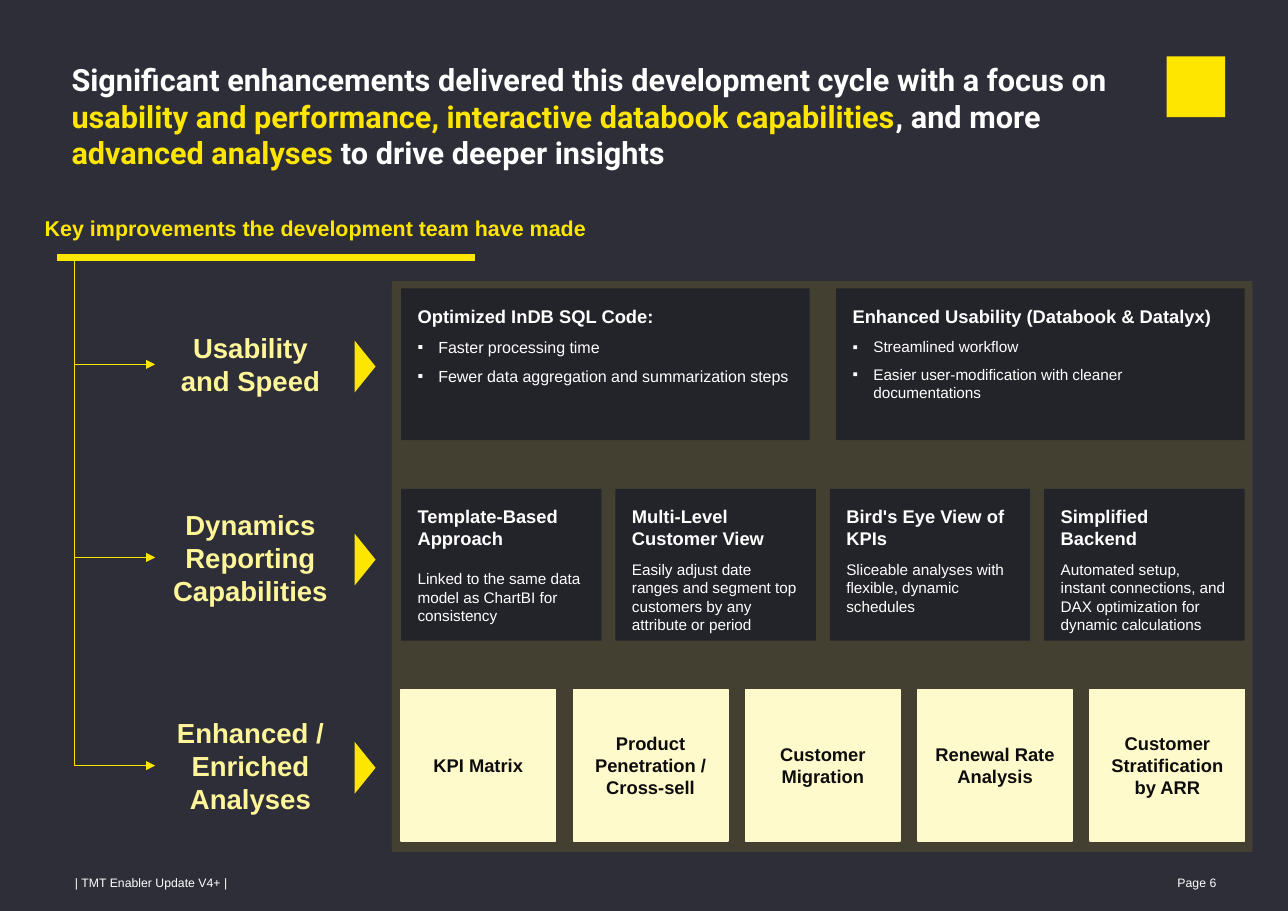
from dataclasses import dataclass
from typing import Any

from lxml.etree import SubElement
from pptx import Presentation
from pptx.dml.color import RGBColor
from pptx.enum.shapes import MSO_CONNECTOR, MSO_SHAPE
from pptx.enum.text import MSO_ANCHOR, PP_ALIGN
from pptx.oxml.ns import qn
from pptx.util import Cm, Pt


@dataclass(frozen=True)
class Theme:
    background: str = "2E2E38"
    card: str = "23232A"
    accent: str = "FFE600"
    label: str = "FFF599"
    cream: str = "FFFACC"
    ink: str = "0D0D0D"
    white: str = "FFFFFF"
    font: str = "Arial"
    title_font: str = "Roboto"
    title: float = 20
    category: float = 18
    section: float = 14
    heading: float = 12
    body: float = 10
    footer: float = 8


@dataclass(frozen=True)
class Box:
    left: float
    top: float
    width: float
    height: float

    def lengths(self) -> tuple:
        return tuple(Cm(v) for v in (self.left, self.top, self.width, self.height))


@dataclass(frozen=True)
class Run:
    text: str
    size: float
    color: str
    bold: bool = False
    font: str = "Arial"


@dataclass(frozen=True)
class Card:
    heading: str
    body: tuple[str, ...] = ()
    gap: float = 7
    size: float = 10
    bulleted: bool = False


@dataclass(frozen=True)
class Category:
    name: str
    middle: float
    card_width: float
    cards: tuple[Card, ...]
    cream: bool = False


THEME = Theme()
INSET = 0.38
CARDS_LEFT, CARDS_SPAN = 9.25, 19.45
CARDS_TOP, ROW_PITCH, CARD_HEIGHT = 6.65, 4.62, 3.5
LABEL_LEFT, LABEL_WIDTH, LABEL_HEIGHT = 3.58, 4.39, 3.4
TRUNK_LEFT, TRUNK_TOP = 1.72, 5.96
MARKER_CENTRE, MARKER_WIDTH, MARKER_HEIGHT = 8.42, 1.19, 0.48

CATEGORIES = (
    Category("Usability and Speed", 8.4, 9.42, (
        Card("Optimized InDB SQL Code:",
             ("Faster processing time",
              "Fewer data aggregation and summarization steps"), size=10.5, bulleted=True),
        Card("Enhanced Usability (Databook & Datalyx)",
             ("Streamlined workflow",
              "Easier user-modification with cleaner documentations"), bulleted=True),
    )),
    Category("Dynamics Reporting Capabilities", 12.85, 4.62, (
        Card("Template-Based Approach",
             ("Linked to the same data model as ChartBI for consistency",), gap=13),
        Card("Multi-Level Customer View",
             ("Easily adjust date ranges and segment top customers by any attribute or period",)),
        Card("Bird's Eye View of KPIs",
             ("Sliceable analyses with flexible, dynamic schedules",)),
        Card("Simplified Backend",
             ("Automated setup, instant connections, and DAX optimization for dynamic calculations",)),
    )),
    Category("Enhanced / Enriched Analyses", 17.65, 3.56, (
        Card("KPI Matrix"),
        Card("Product Penetration / Cross-sell"),
        Card("Customer Migration"),
        Card("Renewal Rate Analysis"),
        Card("Customer Stratification by ARR"),
    ), cream=True),
)


def apply_format(target: Any, values: dict[str, Any]) -> None:
    for name, value in values.items():
        setattr(target, name, value)


def set_frame(frame: Any, inset: float, anchor: Any) -> None:
    margin = Cm(inset)
    apply_format(frame, {
        "word_wrap": True, "vertical_anchor": anchor,
        "margin_left": margin, "margin_right": margin,
        "margin_top": margin, "margin_bottom": margin,
    })


def add_runs(paragraph: Any, *runs: Run) -> None:
    for part in runs:
        run = paragraph.add_run()
        run.text = part.text
        apply_format(run.font, {"name": part.font, "size": Pt(part.size), "bold": part.bold})
        run.font.color.rgb = RGBColor.from_string(part.color)


def add_text(slide: Any, box: Box, *runs: Run, align: Any = PP_ALIGN.LEFT,
             anchor: Any = MSO_ANCHOR.MIDDLE, inset: float = 0) -> None:
    frame = slide.shapes.add_textbox(*box.lengths()).text_frame
    set_frame(frame, inset, anchor)
    frame.paragraphs[0].alignment = align
    add_runs(frame.paragraphs[0], *runs)


def add_block(slide: Any, box: Box, fill: str, kind: Any = MSO_SHAPE.RECTANGLE) -> Any:
    block = slide.shapes.add_shape(kind, *box.lengths())
    block.shadow.inherit = False
    block.fill.solid()
    block.fill.fore_color.rgb = RGBColor.from_string(fill)
    block.line.fill.background()
    return block


def add_bullet(paragraph: Any) -> None:
    properties = paragraph._p.get_or_add_pPr()
    properties.set("marL", str(Cm(0.48)))
    properties.set("indent", str(-Cm(0.48)))
    SubElement(properties, qn("a:buFont"), typeface="Arial")
    SubElement(properties, qn("a:buChar"), char="▪")


def add_card(slide: Any, box: Box, card: Card, cream: bool) -> None:
    block = add_block(slide, box, THEME.cream if cream else THEME.card)
    if cream:
        block.line.color.rgb = RGBColor.from_string(THEME.cream)
        block.line.width = Pt(1)
    frame = block.text_frame
    set_frame(frame, INSET, MSO_ANCHOR.MIDDLE if cream else MSO_ANCHOR.TOP)
    heading = frame.paragraphs[0]
    heading.alignment = PP_ALIGN.CENTER if cream else PP_ALIGN.LEFT
    add_runs(heading, Run(card.heading, THEME.heading, THEME.ink if cream else THEME.white, True))
    if card.body:
        heading.space_after = Pt(card.gap)
    for sentence in card.body:
        paragraph = frame.add_paragraph()
        apply_format(paragraph, {"alignment": PP_ALIGN.LEFT, "space_after": Pt(6)})
        if card.bulleted:
            add_bullet(paragraph)
        add_runs(paragraph, Run(sentence, card.size, THEME.white))


def add_line(slide: Any, kind: Any, ends: tuple[float, ...], width: float) -> Any:
    line = slide.shapes.add_connector(kind, *(Cm(v) for v in ends))
    line.line.color.rgb = RGBColor.from_string(THEME.accent)
    line.line.width = Pt(width)
    SubElement(line._element.spPr, qn("a:effectLst"))
    return line


def add_branch(slide: Any, middle: float) -> None:
    across, down = LABEL_LEFT - TRUNK_LEFT, middle - TRUNK_TOP
    x, y = TRUNK_LEFT + across / 2, TRUNK_TOP + down / 2
    branch = add_line(slide, MSO_CONNECTOR.ELBOW,
                      (x + down / 2, y - across / 2, x - down / 2, y + across / 2), 0.5)
    properties = branch._element.spPr
    properties.find(qn("a:xfrm")).set("rot", "16200000")
    properties.find(qn("a:prstGeom")).set("prst", "bentConnector2")
    SubElement(properties.find(qn("a:ln")), qn("a:tailEnd"), type="triangle")


def add_category(slide: Any, category: Category, row: int) -> None:
    label = Box(LABEL_LEFT, category.middle - LABEL_HEIGHT / 2, LABEL_WIDTH, LABEL_HEIGHT)
    add_text(slide, label, Run(category.name, THEME.category, THEME.label, True),
             align=PP_ALIGN.CENTER, inset=INSET)
    add_branch(slide, category.middle)
    marker = Box(MARKER_CENTRE - MARKER_WIDTH / 2, category.middle + 0.05 - MARKER_HEIGHT / 2,
                 MARKER_WIDTH, MARKER_HEIGHT)
    add_block(slide, marker, THEME.accent, MSO_SHAPE.ISOSCELES_TRIANGLE).rotation = 90
    pitch = (CARDS_SPAN - category.card_width) / (len(category.cards) - 1)
    for column, card in enumerate(category.cards):
        box = Box(CARDS_LEFT + column * pitch, CARDS_TOP + row * ROW_PITCH,
                  category.card_width, CARD_HEIGHT)
        add_card(slide, box, card, category.cream)


def main() -> None:
    deck = Presentation()
    apply_format(deck, {"slide_width": Cm(29.7), "slide_height": Cm(21)})
    slide = deck.slides.add_slide(deck.slide_layouts[6])
    slide.background.fill.solid()
    slide.background.fill.fore_color.rgb = RGBColor.from_string(THEME.background)

    add_block(slide, Box(26.9, 1.3, 1.35, 1.4), THEME.accent)
    panel = add_block(slide, Box(9.04, 6.48, 19.84, 13.16), THEME.accent)
    panel_color = panel._element.spPr.find(qn("a:solidFill")).find(qn("a:srgbClr"))
    SubElement(panel_color, qn("a:alpha"), val="10000")

    title = (
        ("Significant enhancements delivered this development cycle with a focus on ", THEME.white),
        ("usability and performance, interactive databook capabilities", THEME.accent),
        (", and more ", THEME.white),
        ("advanced analyses", THEME.accent),
        (" to drive deeper insights", THEME.white),
    )
    add_text(slide, Box(1.65, 1.4, 24.74, 1.7),
             *(Run(text, THEME.title, color, True, THEME.title_font) for text, color in title),
             anchor=MSO_ANCHOR.TOP)
    add_text(slide, Box(0.28, 4.83, 14, 0.86),
             Run("Key improvements the development team have made", THEME.section, THEME.accent, True),
             align=PP_ALIGN.CENTER)
    add_line(slide, MSO_CONNECTOR.STRAIGHT, (1.32, 5.94, 10.95, 5.94), 4.5)
    for row, category in enumerate(CATEGORIES):
        add_category(slide, category, row)

    add_text(slide, Box(1.73, 20.19, 21.2, 0.3),
             Run("| TMT Enabler Update V4+ |", THEME.footer, THEME.white))
    add_text(slide, Box(25.15, 20.19, 2.9, 0.3),
             Run("Page 6", THEME.footer, THEME.white), align=PP_ALIGN.RIGHT)
    deck.save("out.pptx")


if __name__ == "__main__":
    main()
